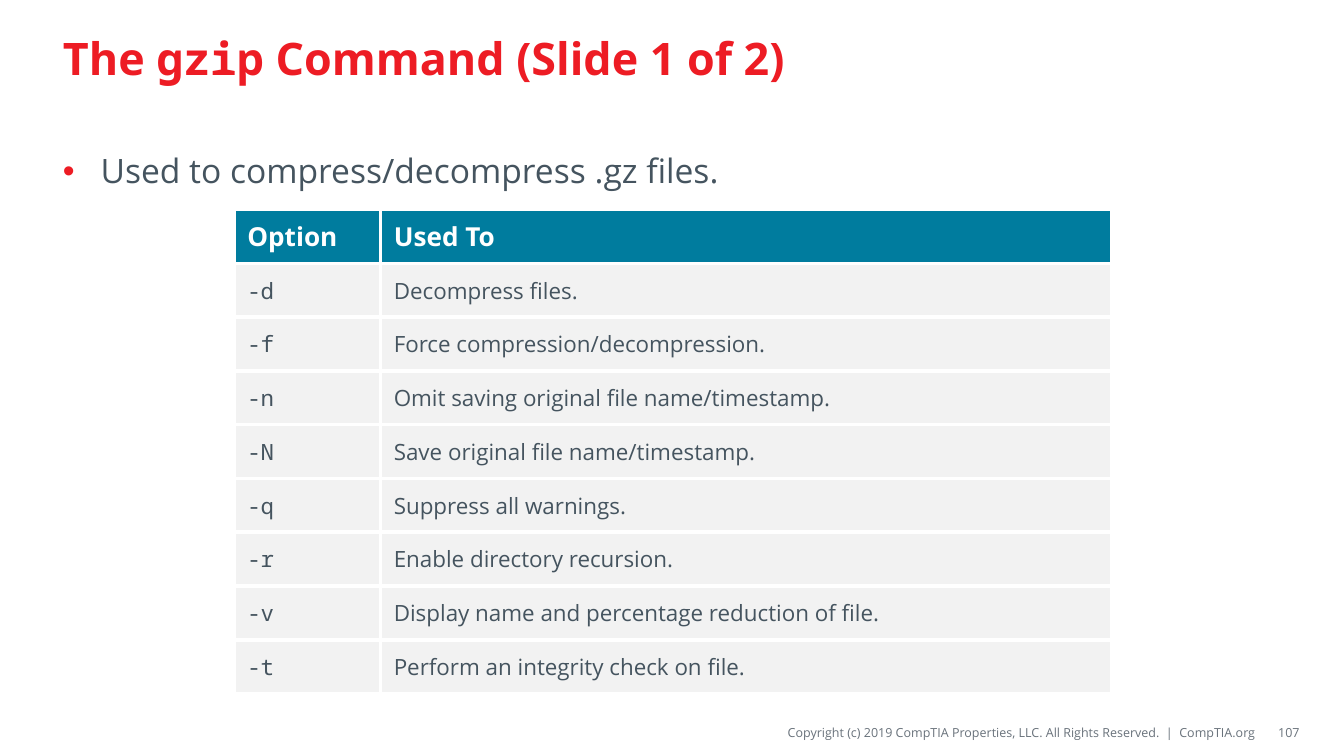
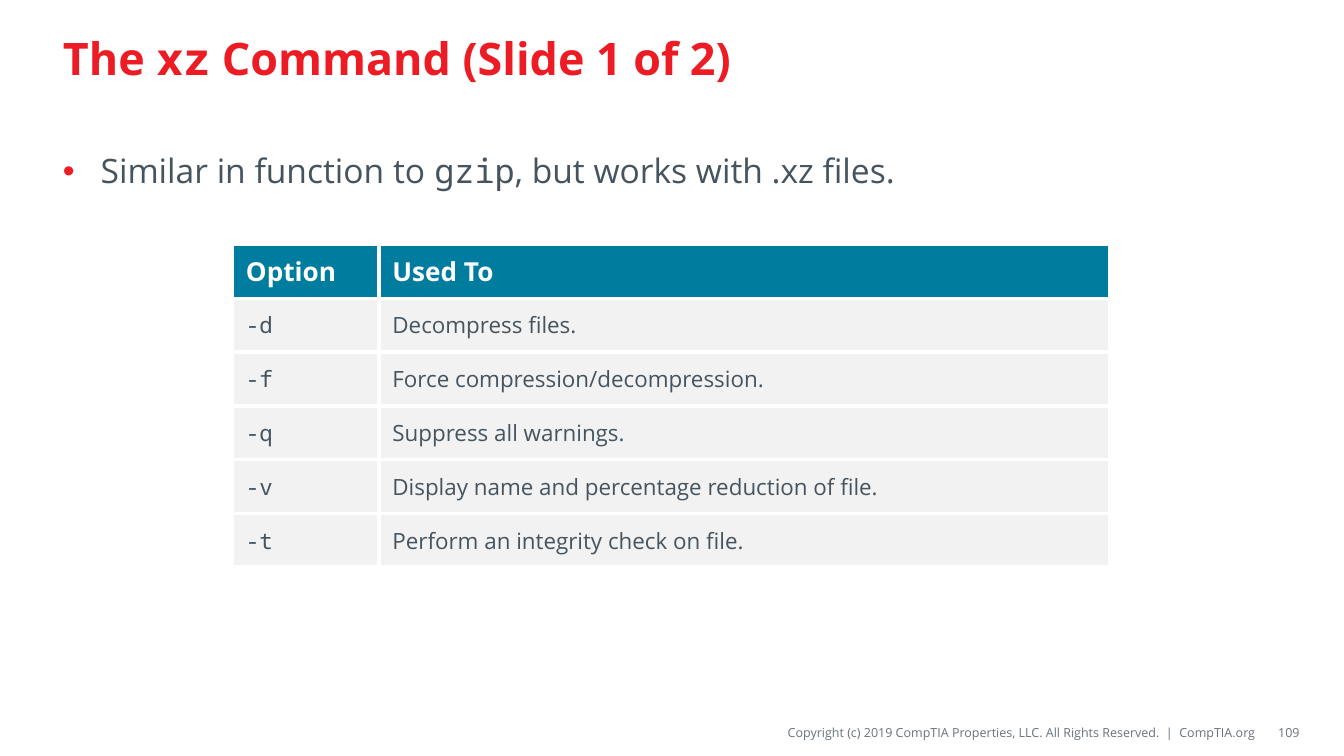
from lxml.etree import SubElement
from pptx import Presentation
from pptx.dml.color import RGBColor
from pptx.enum.text import MSO_ANCHOR, PP_ALIGN
from pptx.oxml import parse_xml
from pptx.oxml.ns import nsdecls, qn
from pptx.util import Inches, Pt

# Content: text between backticks is set in the code font
COPYRIGHT = "Copyright (c) 2019 CompTIA Properties, LLC. All Rights Reserved.  |  CompTIA.org"
HEADINGS = ("Option", "Used To")
OPTION_USES = {
    "-d": "Decompress files.",
    "-f": "Force compression/decompression.",
    "-n": "Omit saving original file name/timestamp.",
    "-N": "Save original file name/timestamp.",
    "-q": "Suppress all warnings.",
    "-r": "Enable directory recursion.",
    "-v": "Display name and percentage reduction of file.",
    "-t": "Perform an integrity check on file.",
}
COMMANDS = [
    {
        "title": "The `gzip` Command (Slide 1 of 2)",
        "bullet": "Used to compress/decompress .gz files.",
        "options": list(OPTION_USES),
        "table_at": (1.74, 1.56),
        "number": "107",
    },
    {
        "title": "The `xz` Command (Slide 1 of 2)",
        "bullet": "Similar in function to `gzip`, but works with .xz files.",
        "options": ["-d", "-f", "-q", "-v", "-t"],
        "table_at": (1.73, 1.82),
        "number": "109",
    },
]

# Shared style
RED, TEAL, SLATE, GRAY = "ED1C24", "007C9E", "45545F", "69727B"
PALE, WHITE = "F2F2F2", "FFFFFF"
TEXT_FONT, CODE_FONT = "Open Sans", "Noto Sans Mono"
COLUMN_WIDTHS = (1.09, 5.44)
ROW_HEIGHT = 0.4
BORDER_POINTS = 2.25


def color(value):
    return RGBColor.from_string(value)


def write(frame, text, size, ink, bold=False, align=PP_ALIGN.LEFT, bullet=None):
    """Fill a text frame, switching to the code font between backticks."""
    para = frame.paragraphs[0]
    para.alignment = align
    if bullet:
        props = para._p.get_or_add_pPr()
        props.set("marL", str(Inches(0.28)))
        props.set("indent", str(Inches(-0.28)))
        SubElement(SubElement(props, qn("a:buClr")), qn("a:srgbClr"), val=bullet)
        SubElement(props, qn("a:buFont"), typeface="Arial")
        SubElement(props, qn("a:buChar"), char="•")
    for index, part in enumerate(text.split("`")):
        if part:
            span = para.add_run()
            span.text = part
            span.font.name = CODE_FONT if index % 2 else TEXT_FONT
            span.font.size = Pt(size)
            span.font.bold = bold
            span.font.color.rgb = color(ink)


def add_text(page, text, place, insets=(0.1, 0.05, 0.1, 0.05),
             anchor=MSO_ANCHOR.MIDDLE, **style):
    frame = page.shapes.add_textbox(*map(Inches, place)).text_frame
    frame.word_wrap = True
    frame.vertical_anchor = anchor
    (frame.margin_left, frame.margin_top,
     frame.margin_right, frame.margin_bottom) = map(Inches, insets)
    write(frame, text, **style)


def add_borders(cell):
    props = cell._tc.get_or_add_tcPr()
    for index, side in enumerate(("lnL", "lnR", "lnT", "lnB")):
        props.insert(index, parse_xml(
            f'<a:{side} {nsdecls("a")} w="{Pt(BORDER_POINTS)}"><a:solidFill>'
            f'<a:srgbClr val="{WHITE}"/></a:solidFill></a:{side}>'))


def add_option_table(page, options, corner):
    rows = [HEADINGS] + [(f"`{option}`", OPTION_USES[option]) for option in options]
    size = (sum(COLUMN_WIDTHS), ROW_HEIGHT * len(rows))
    table = page.shapes.add_table(
        len(rows), len(HEADINGS), *map(Inches, corner + size)).table
    table.horz_banding = False
    for column, width in zip(table.columns, COLUMN_WIDTHS):
        column.width = Inches(width)
    for row_index, row in enumerate(rows):
        table.rows[row_index].height = Inches(ROW_HEIGHT)
        header = row_index == 0
        for column_index, text in enumerate(row):
            cell = table.cell(row_index, column_index)
            cell.vertical_anchor = MSO_ANCHOR.MIDDLE
            cell.fill.solid()
            cell.fill.fore_color.rgb = color(TEAL if header else PALE)
            add_borders(cell)
            write(cell.text_frame, text, size=14 if header else 12,
                  ink=WHITE if header else SLATE, bold=header)


def add_footer(page, number):
    style = {"size": 6.75, "ink": GRAY, "align": PP_ALIGN.RIGHT}
    add_text(page, COPYRIGHT, (3.88, 5.34, 5.47, 0.22), (0, 0.04, 0, 0.04), **style)
    add_text(page, number, (9.38, 5.34, 0.29, 0.22), (0.1, 0.05, 0, 0.05), **style)


def add_command_page(deck, command):
    page = deck.slides.add_slide(deck.slide_layouts[6])
    page.background.fill.solid()
    page.background.fill.fore_color.rgb = color(WHITE)
    add_footer(page, command["number"])
    add_text(page, command["title"], (0.37, 0.08, 9.25, 0.69),
             size=24, ink=RED, bold=True)
    add_text(page, command["bullet"], (0.37, 1.07, 9.25, 3.9),
             anchor=MSO_ANCHOR.TOP, size=18, ink=SLATE, bullet=RED)
    add_option_table(page, command["options"], command["table_at"])


def main():
    deck = Presentation()
    # Widescreen, 16:9
    deck.slide_width, deck.slide_height = Inches(10), Inches(10 * 9 / 16)
    for command in COMMANDS:
        add_command_page(deck, command)
    deck.save("out.pptx")


if __name__ == "__main__":
    main()
